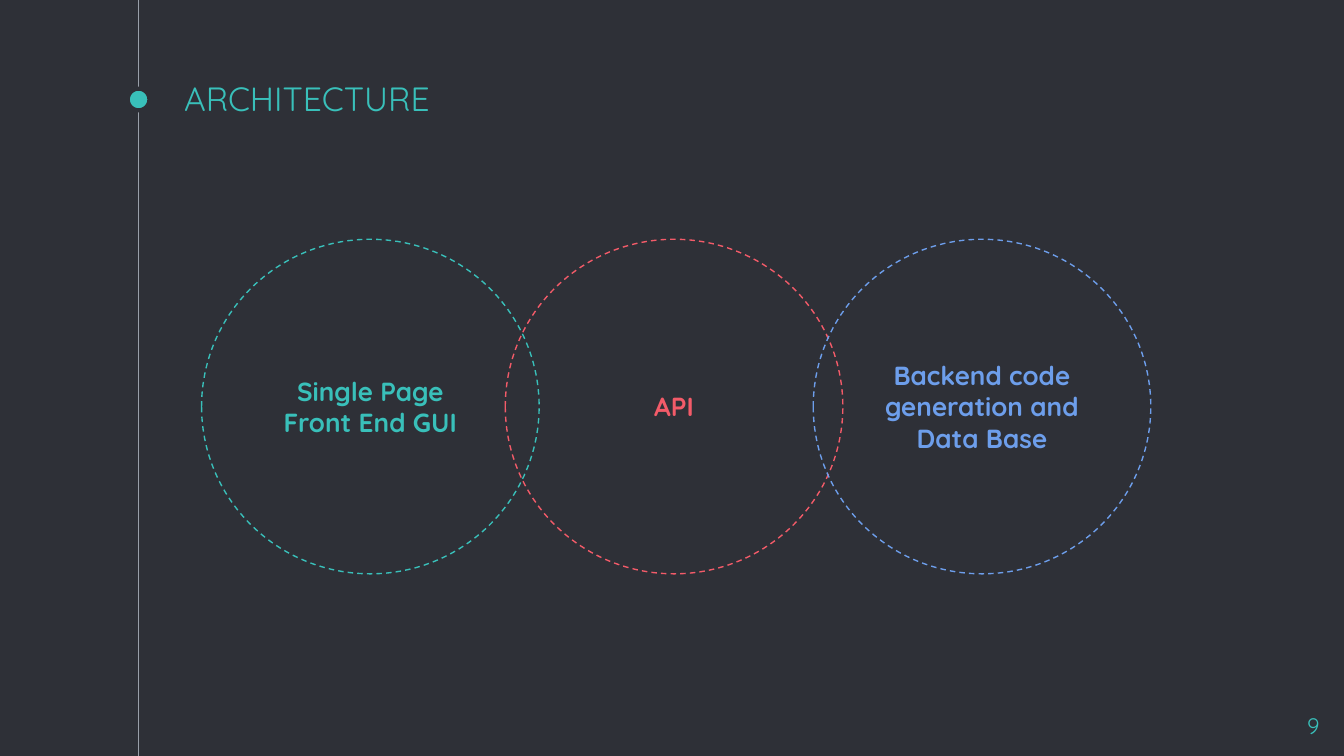
import lxml.etree
import pptx
import pptx.dml.color
import pptx.enum.dml
import pptx.enum.shapes
import pptx.enum.text
import pptx.oxml.ns
import pptx.util

Cm = pptx.util.Cm
Pt = pptx.util.Pt
ALIGN = pptx.enum.text.PP_ALIGN
ANCHOR = pptx.enum.text.MSO_ANCHOR
OVAL = pptx.enum.shapes.MSO_SHAPE.OVAL

# Content
TITLE = "ARCHITECTURE"
PAGE_NUMBER = "9"
# text, colour, left edge in cm, from back to front
CIRCLES = [
    ("API", "red", 9.55),
    ("Single Page Front End GUI", "teal", 3.81),
    ("Backend code generation and Data Base", "blue", 15.37),
]

# Style
COLOURS = {
    "background": "2E3037",
    "rail": "999FA9",
    "teal": "39C0BA",
    "red": "F35B69",
    "blue": "6D9EEB",
}
FONT = "Quicksand"
SLIDE_WIDTH, SLIDE_HEIGHT = 25.4, 14.28
RAIL_X = 2.62
DOT_CENTRE_Y, DOT_SIZE = 1.88, 0.41
CIRCLE_TOP, CIRCLE_WIDTH, CIRCLE_HEIGHT = 4.52, 6.38, 6.32
INSET = 0.25


def colour(name):
    return pptx.dml.color.RGBColor.from_string(COLOURS[name])


def set_text(shape, text, size, colour_name, align, anchor, bold=False):
    frame = shape.text_frame
    frame.text = text
    frame.word_wrap = True
    frame.auto_size = pptx.enum.text.MSO_AUTO_SIZE.NONE
    frame.vertical_anchor = anchor
    frame.margin_left = frame.margin_right = Cm(INSET)
    frame.margin_top = frame.margin_bottom = Cm(INSET)
    paragraph = frame.paragraphs[0]
    paragraph.alignment = align
    font = paragraph.runs[0].font
    font.name = FONT
    font.size = Pt(size)
    font.bold = bold
    font.color.rgb = colour(colour_name)


def add_oval(slide, left, top, width, height, line_name, line_width):
    shape = slide.shapes.add_shape(OVAL, Cm(left), Cm(top), Cm(width), Cm(height))
    shape.shadow.inherit = False
    shape.line.color.rgb = colour(line_name)
    shape.line.width = Pt(line_width)
    return shape


presentation = pptx.Presentation()
presentation.slide_width = Cm(SLIDE_WIDTH)
presentation.slide_height = Cm(SLIDE_HEIGHT)
slide = presentation.slides.add_slide(presentation.slide_layouts[5])
slide.background.fill.solid()
slide.background.fill.fore_color.rgb = colour("background")

# Vertical rail with its dot
rail = slide.shapes.add_connector(
    pptx.enum.shapes.MSO_CONNECTOR.STRAIGHT,
    Cm(RAIL_X), Cm(0), Cm(RAIL_X), Cm(SLIDE_HEIGHT),
)
rail.line.color.rgb = colour("rail")
rail.line.width = Pt(0.75)
lxml.etree.SubElement(rail._element.spPr, pptx.oxml.ns.qn("a:effectLst"))

dot = add_oval(slide, RAIL_X - DOT_SIZE / 2, DOT_CENTRE_Y - DOT_SIZE / 2,
               DOT_SIZE, DOT_SIZE, "background", 2.25)
dot.fill.solid()
dot.fill.fore_color.rgb = colour("teal")

# Title
title = slide.shapes.title
title.left, title.top = Cm(3.23), Cm(1.52)
title.width, title.height = Cm(19.05), Cm(0.97)
set_text(title, TITLE, 18, "teal", ALIGN.LEFT, ANCHOR.BOTTOM)

# Overlapping circles
for text, colour_name, left in CIRCLES:
    circle = add_oval(slide, left, CIRCLE_TOP, CIRCLE_WIDTH, CIRCLE_HEIGHT,
                      colour_name, 0.75)
    circle.fill.background()
    circle.line.dash_style = pptx.enum.dml.MSO_LINE.DASH
    set_text(circle, text, 14, colour_name, ALIGN.CENTER, ANCHOR.MIDDLE, bold=True)

# Page number
number = slide.shapes.add_textbox(Cm(23.67), Cm(13.21), Cm(1.52), Cm(0.86))
set_text(number, PAGE_NUMBER, 12, "teal", ALIGN.RIGHT, ANCHOR.TOP)

presentation.save("out.pptx")
